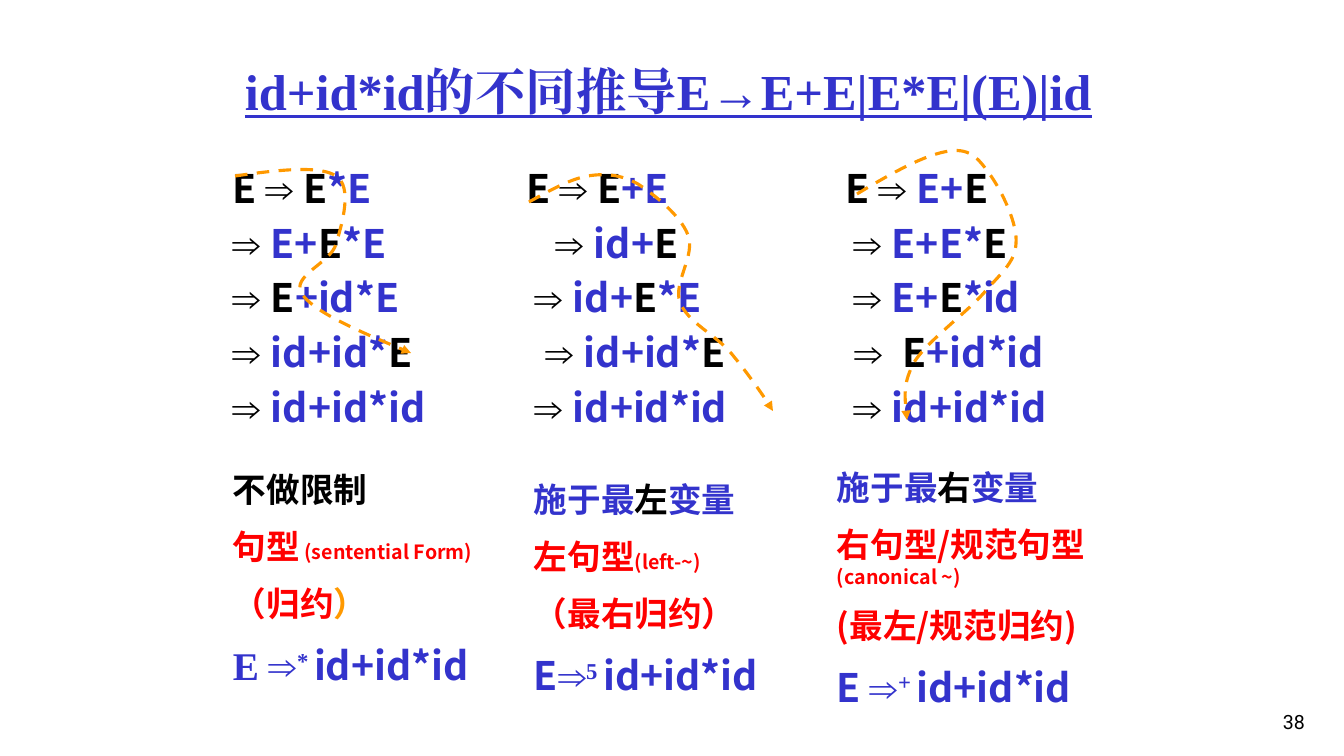
from dataclasses import dataclass
from typing import Optional

from lxml import etree
from pptx import Presentation
from pptx.dml.color import RGBColor
from pptx.enum.dml import MSO_LINE
from pptx.enum.text import MSO_ANCHOR, PP_ALIGN
from pptx.oxml.ns import qn
from pptx.util import Emu, Pt

DASH = MSO_LINE.DASH
TOP, BOTTOM = MSO_ANCHOR.TOP, MSO_ANCHOR.BOTTOM
LEFT, RIGHT = PP_ALIGN.LEFT, PP_ALIGN.RIGHT
EMU_PER_PX = 914400 / 100.8


@dataclass(frozen=True)
class Theme:
    black: str = "000000"
    blue: str = "3333CC"
    red: str = "FF0000"
    orange: str = "FF9900"
    sans: str = "Noto Sans CJK SC"
    serif: str = "Times New Roman"
    number_face: str = "Roboto"
    title: float = 36
    formula: float = 28
    label: float = 24
    small: float = 14
    curve: float = 2.25
    leading: float = 1.2


THEME = Theme()


@dataclass(frozen=True)
class Run:
    text: str
    color: str = THEME.blue
    face: str = THEME.sans
    size: Optional[float] = None
    raised: bool = False
    tracking: int = 0


@dataclass(frozen=True)
class Line:
    runs: tuple[Run, ...]
    size: float
    before: float = 0
    indent: int = 21
    bold: bool = True
    underline: bool = False


@dataclass(frozen=True)
class Block:
    left: int
    top: int
    width: int
    height: int
    lines: tuple[Line, ...]
    anchor: MSO_ANCHOR = TOP
    align: PP_ALIGN = LEFT


def px(value: float) -> Emu:
    return Emu(round(value * EMU_PER_PX))


def black(text: str) -> Run:
    return Run(text, THEME.black)


def red(text: str, size: Optional[float] = None) -> Run:
    return Run(text, THEME.red, size=size)


def serif(text: str, color: str = THEME.blue, raised: bool = False) -> Run:
    return Run(text, color, THEME.serif, raised=raised)


def step(*runs: Run, indent: int = 21) -> Line:
    return Line(runs, THEME.formula, 5.6, indent)


def note(*runs: Run) -> Line:
    return Line(runs, THEME.label, 12)


def result(*runs: Run) -> Line:
    return Line(runs, THEME.formula, 13)


ARROW = serif("⇒ ", THEME.black)
WIDE_ARROW = Run("⇒ ", THEME.black, THEME.serif, tracking=350)
E = black("E")
START = black("E ")
SENTENCE = Run("id+id*id")

BLOCKS = (
    Block(235, 58, 899, 68, (
        Line((serif("id+id*id的不同推导E→E+E|E*E|(E)|id"),),
             THEME.title, indent=0, underline=True),), BOTTOM),
    Block(496, 159, 294, 283, (
        step(START, ARROW, E, Run("+E")),
        step(ARROW, Run("id+"), E, indent=50),
        step(ARROW, Run("id+"), E, Run("*E"), indent=29),
        step(ARROW, Run("id+id*"), E, indent=40),
        step(ARROW, SENTENCE, indent=29))),
    Block(815, 159, 320, 283, (
        step(START, ARROW, Run("E+"), E),
        step(ARROW, Run("E+E*"), E, indent=29),
        step(ARROW, Run("E+"), E, Run("*id"), indent=29),
        step(WIDE_ARROW, E, Run("+id*id"), indent=30),
        step(ARROW, SENTENCE, indent=29))),
    Block(202, 159, 328, 283, (
        step(START, ARROW, E, Run("*E")),
        step(ARROW, Run("E+"), E, Run("*E")),
        step(ARROW, E, Run("+id*E")),
        step(ARROW, Run("id+id*"), E),
        step(ARROW, SENTENCE))),
    Block(202, 464, 302, 244, (
        note(black("不做限制")),
        note(red("句型"), red(" (sentential Form)", THEME.small)),
        note(red("（归约"), Run("）", THEME.orange)),
        result(serif("E ⇒"), serif("* ", raised=True), SENTENCE))),
    Block(806, 462, 336, 268, (
        note(Run("施于最"), black("右"), Run("变量")),
        note(red("右句型/规范句型")),
        Line((red("(canonical ~)"),), THEME.small),
        note(red("(最左/规范归约)")),
        result(Run("E "), serif("⇒"), serif("+ ", raised=True), SENTENCE))),
    Block(503, 474, 303, 244, (
        note(Run("施于最"), black("左"), Run("变量")),
        note(red("左句型"), red("(left-~)", THEME.small)),
        note(red("（最右归约）")),
        result(Run("E"), serif("⇒"), serif("5 ", raised=True), SENTENCE))),
    Block(1035, 688, 280, 50, (
        Line((Run("38", THEME.black, THEME.number_face),),
             THEME.small, indent=0, bold=False),), BOTTOM, RIGHT),
)

CURVES = (
    ((235, 176), (277, 170), (320, 165), (336, 176), (353, 187), (342, 224),
     (336, 244), (331, 263), (290, 276), (302, 294), (314, 312), (363, 333),
     (411, 353)),
    ((529, 202), (549, 191), (570, 179), (588, 176), (606, 173), (622, 175),
     (638, 184), (655, 195), (681, 216), (688, 235), (696, 255), (673, 283),
     (680, 302), (687, 322), (716, 335), (731, 353), (746, 371), (768, 402),
     (773, 411)),
    ((857, 194), (892, 173), (926, 154), (950, 151), (972, 148), (980, 161),
     (991, 176), (1002, 192), (1018, 224), (1016, 244), (1015, 263),
     (1000, 274), (983, 294), (966, 313), (928, 341), (915, 361), (903, 382),
     (905, 401), (907, 420)),
)


def write_run(paragraph, run: Run) -> None:
    part = paragraph.add_run()
    part.text = run.text
    part.font.color.rgb = RGBColor.from_string(run.color)
    part.font.name = run.face
    if run.size:
        part.font.size = Pt(run.size)
    properties = part._r.get_or_add_rPr()
    etree.SubElement(properties, qn("a:ea")).set("typeface", run.face)
    if run.raised:
        properties.set("baseline", "30000")
    if run.tracking:
        properties.set("spc", str(run.tracking))


def draw_block(slide, block: Block) -> None:
    frame = slide.shapes.add_textbox(
        px(block.left), px(block.top), px(block.width), px(block.height)).text_frame
    frame.word_wrap = True
    frame.vertical_anchor = block.anchor
    for index, line in enumerate(block.lines):
        paragraph = frame.add_paragraph() if index else frame.paragraphs[0]
        paragraph.alignment = block.align
        paragraph.line_spacing = Pt(line.size * THEME.leading)
        paragraph.space_before = Pt(line.before if index else 0)
        paragraph._p.get_or_add_pPr().set("marL", str(px(line.indent)))
        paragraph.font.size = Pt(line.size)
        paragraph.font.bold = line.bold
        paragraph.font.underline = line.underline
        for run in line.runs:
            write_run(paragraph, run)


def draw_curve(slide, points: tuple[tuple[int, int], ...]) -> None:
    builder = slide.shapes.build_freeform(*points[0], scale=EMU_PER_PX)
    builder.add_line_segments(points[1:], close=False)
    curve = builder.convert_to_shape()
    curve.shadow.inherit = False
    curve.fill.background()
    curve.line.color.rgb = RGBColor.from_string(THEME.orange)
    curve.line.width = Pt(THEME.curve)
    curve.line.dash_style = DASH
    etree.SubElement(curve.line._get_or_add_ln(), qn("a:tailEnd")).set("type", "triangle")
    segments = list(curve._element.iter(qn("a:lnTo")))
    for start in range(0, len(segments), 3):
        bezier = etree.Element(qn("a:cubicBezTo"))
        segments[start].addprevious(bezier)
        for segment in segments[start:start + 3]:
            bezier.append(segment[0])
            segment.getparent().remove(segment)


def main() -> None:
    deck = Presentation()
    deck.slide_width, deck.slide_height = px(1344), px(756)
    slide = deck.slides.add_slide(deck.slide_layouts[6])
    for block in BLOCKS:
        draw_block(slide, block)
    for points in CURVES:
        draw_curve(slide, points)
    deck.save("out.pptx")


if __name__ == "__main__":
    main()
